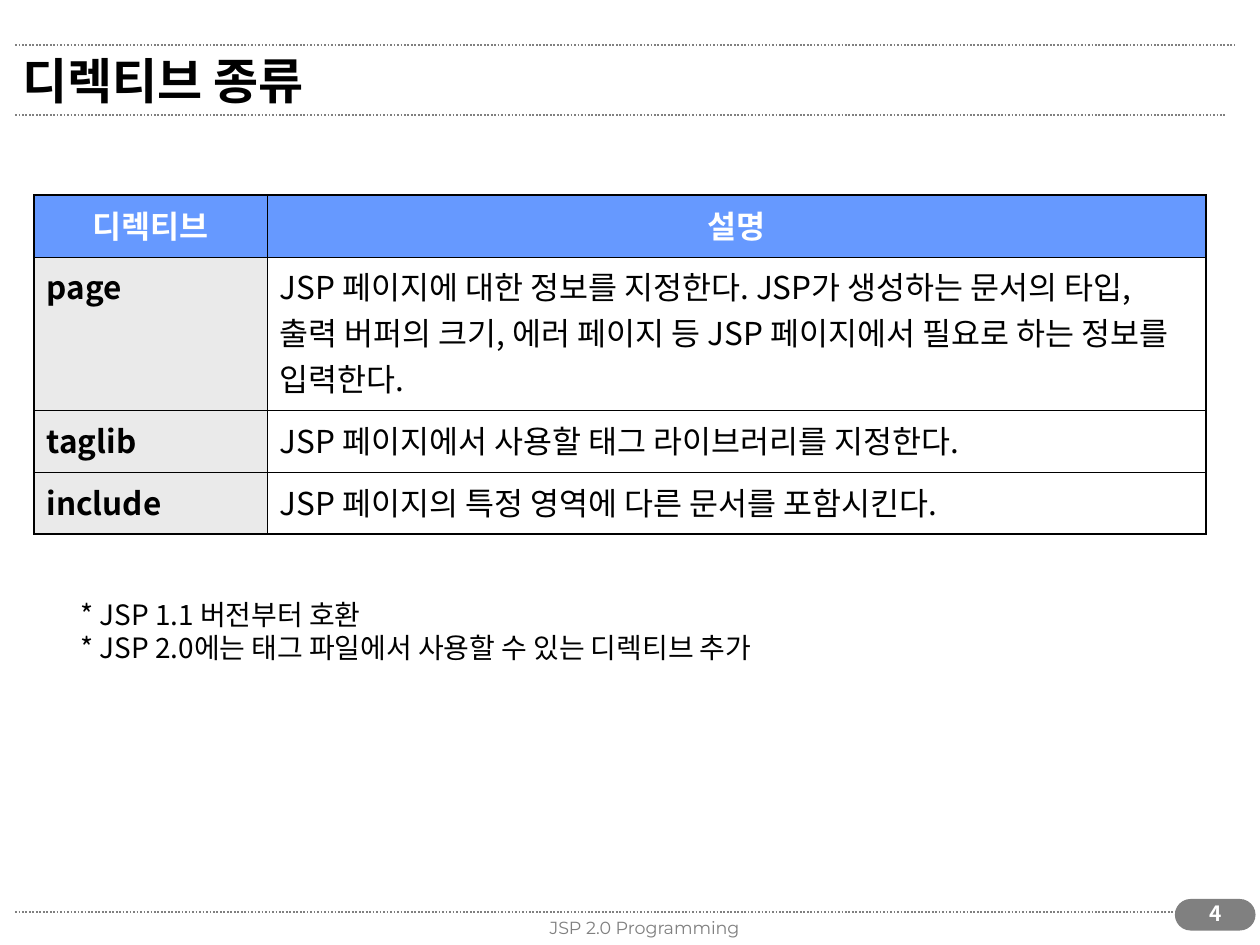
from lxml.etree import SubElement
from pptx import Presentation
from pptx.dml.color import RGBColor
from pptx.enum.dml import MSO_LINE
from pptx.enum.shapes import MSO_CONNECTOR, MSO_SHAPE
from pptx.enum.text import MSO_ANCHOR, PP_ALIGN
from pptx.oxml.ns import qn
from pptx.util import Inches, Pt

BLACK = RGBColor(0x00, 0x00, 0x00)
WHITE = RGBColor(0xFF, 0xFF, 0xFF)
GRAY = RGBColor(0x80, 0x80, 0x80)
LIGHT_GRAY = RGBColor(0xEA, 0xEA, 0xEA)
BLUE = RGBColor(0x66, 0x99, 0xFF)

KOREAN_FONT = "Noto Sans CJK KR"
FOOTER_FONT = "Montserrat"
OUTER_BORDER, INNER_BORDER = Pt(1.08), Pt(0.45)

DIRECTIVES = [
    ("디렉티브", "설명"),
    ("page", "JSP 페이지에 대한 정보를 지정한다. JSP가 생성하는 문서의 타입, "
             "출력 버퍼의 크기, 에러 페이지 등 JSP 페이지에서 필요로 하는 정보를 입력한다."),
    ("taglib", "JSP 페이지에서 사용할 태그 라이브러리를 지정한다."),
    ("include", "JSP 페이지의 특정 영역에 다른 문서를 포함시킨다."),
]
NOTES = [
    "* JSP 1.1 버전부터 호환",
    "* JSP 2.0에는 태그 파일에서 사용할 수 있는 디렉티브 추가",
]


def add_run(paragraph, text, size, color=BLACK, bold=False, font=KOREAN_FONT):
    run = paragraph.add_run()
    run.text = text
    run.font.size = Pt(size)
    run.font.bold = bold
    run.font.color.rgb = color
    run.font.name = font
    SubElement(run.font._element, qn("a:ea"), typeface=font)


def add_text_box(slide, left, top, width, height):
    text_frame = slide.shapes.add_textbox(left, top, width, height).text_frame
    text_frame.word_wrap = True
    return text_frame


def add_rule(slide, left, right, y):
    rule = slide.shapes.add_connector(MSO_CONNECTOR.STRAIGHT, left, y, right, y)
    rule.line.color.rgb = GRAY
    rule.line.width = Pt(1)
    rule.line.dash_style = MSO_LINE.ROUND_DOT
    SubElement(rule._element.spPr, qn("a:effectLst"))


def set_border(cell, side, width):
    line = SubElement(cell._tc.get_or_add_tcPr(), qn(f"a:ln{side}"), w=str(int(width)))
    fill = SubElement(line, qn("a:solidFill"))
    SubElement(fill, qn("a:srgbClr"), val=str(BLACK))


def add_title(slide, left, top, width, height):
    # Rules above and below the title
    add_rule(slide, left + Inches(0.04), left + Inches(9.72), top + Inches(0.08))
    add_rule(slide, left + Inches(0.04), left + Inches(9.64), top + Inches(0.63))
    # Title text
    text_frame = add_text_box(slide, left, top, width, height)
    text_frame.vertical_anchor = MSO_ANCHOR.MIDDLE
    add_run(text_frame.paragraphs[0], "디렉티브 종류", 28, bold=True)


def add_directive_table(slide, left, top, width, height):
    row_count, column_count = len(DIRECTIVES), len(DIRECTIVES[0])
    table = slide.shapes.add_table(
        row_count, column_count, left, top, width, height).table
    # Narrow name column; the page row holds three lines
    name_width, row_height = Inches(1.85), Inches(0.49)
    table.columns[0].width = name_width
    table.columns[1].width = width - name_width
    for row in table.rows:
        row.height = row_height
    table.rows[1].height = height - (row_count - 1) * row_height

    for row_index, texts in enumerate(DIRECTIVES):
        for column_index, text in enumerate(texts):
            cell = table.cell(row_index, column_index)
            is_header, is_name = row_index == 0, column_index == 0
            # Thick frame, thin inner lines
            outer_sides = {
                "L": is_name,
                "R": column_index == column_count - 1,
                "T": is_header,
                "B": row_index == row_count - 1,
            }
            for side, is_outer in outer_sides.items():
                set_border(cell, side, OUTER_BORDER if is_outer else INNER_BORDER)
            # Cell fill
            if is_header or is_name:
                cell.fill.solid()
                cell.fill.fore_color.rgb = BLUE if is_header else LIGHT_GRAY
            else:
                cell.fill.background()
            # Cell text
            paragraph = cell.text_frame.paragraphs[0]
            paragraph.alignment = PP_ALIGN.CENTER if is_header else PP_ALIGN.LEFT
            add_run(paragraph, text, 18, WHITE if is_header else BLACK,
                    bold=is_header or is_name)


def add_notes(slide, left, top, width, height):
    text_frame = add_text_box(slide, left, top, width, height)
    for index, note in enumerate(NOTES):
        paragraph = text_frame.paragraphs[0] if index == 0 else text_frame.add_paragraph()
        paragraph.line_spacing = Pt(19.2)
        add_run(paragraph, note, 16)


def add_footer(slide, left, top, width, height):
    add_rule(slide, left, left + Inches(9.61), top + Inches(0.14))
    # Page number badge
    badge_width, badge_height = Inches(0.63), Inches(0.24)
    badge = slide.shapes.add_shape(
        MSO_SHAPE.ROUNDED_RECTANGLE, left + width - badge_width,
        top + Inches(0.04), badge_width, badge_height)
    badge.adjustments[0] = 0.5
    badge.shadow.inherit = False
    badge.fill.solid()
    badge.fill.fore_color.rgb = GRAY
    badge.line.color.rgb = GRAY
    badge.line.width = Pt(0.75)
    # Course name and page number
    course = add_text_box(slide, left + Inches(3.41), top + Inches(0.13),
                          Inches(3.17), Inches(0.2))
    number = add_text_box(slide, left + Inches(9.25), top, Inches(0.55), height)
    for text_frame in (course, number):
        text_frame.paragraphs[0].alignment = PP_ALIGN.CENTER
    add_run(course.paragraphs[0], "JSP 2.0 Programming", 10, GRAY, font=FOOTER_FONT)
    add_run(number.paragraphs[0], "4", 12, WHITE, bold=True)


def main():
    presentation = Presentation()
    presentation.slide_width = Inches(10)
    presentation.slide_height = Inches(7.5)
    slide = presentation.slides.add_slide(presentation.slide_layouts[6])
    add_footer(slide, Inches(0.12), Inches(7.1), Inches(9.84), Inches(0.34))
    add_title(slide, Inches(0.08), Inches(0.28), Inches(9.1), Inches(0.71))
    add_directive_table(slide, Inches(0.27), Inches(1.55), Inches(9.3), Inches(2.69))
    add_notes(slide, Inches(0.54), Inches(4.69), Inches(5.63), Inches(0.64))
    presentation.save("out.pptx")


if __name__ == "__main__":
    main()
